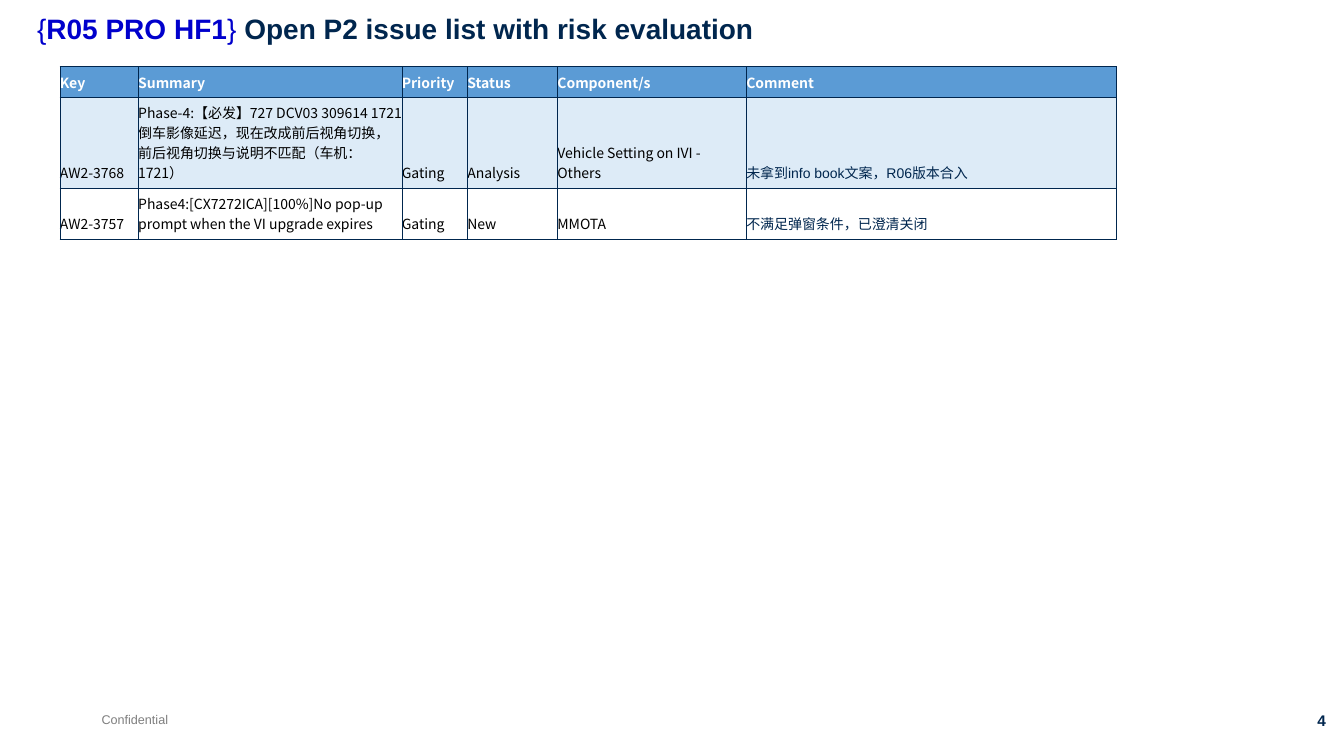
import pptx
import pptx.dml.color
import pptx.enum.text
import pptx.oxml
import pptx.oxml.ns
import pptx.util
from dataclasses import dataclass

Pt = pptx.util.Pt
Align = pptx.enum.text.PP_ALIGN
Anchor = pptx.enum.text.MSO_ANCHOR


@dataclass(frozen=True)
class Theme:
    navy: str = "00264E"
    blue: str = "0000CC"
    grey: str = "7F7F7F"
    white: str = "FFFFFF"
    black: str = "000000"
    header_fill: str = "5B9BD5"
    band_fill: str = "DDEBF7"
    sans: str = "Arial"
    cjk: str = "Noto Sans CJK SC"
    title_size: float = 20
    table_size: float = 10
    footer_size: float = 9
    number_size: float = 11
    border_width: float = 0.45


THEME = Theme()

HEADINGS = ["Key", "Summary", "Priority", "Status", "Component/s", "Comment"]
ISSUES = [
    ["AW2-3768",
     "Phase-4:【必发】727 DCV03 309614 1721倒车影像延迟，现在改成前后视角切换，前后视角切换与说明不匹配（车机：1721）",
     "Gating", "Analysis", "Vehicle Setting on IVI - Others",
     "未拿到info book文案，R06版本合入"],
    ["AW2-3757",
     "Phase4:[CX7272ICA][100%]No pop-up prompt when the VI upgrade expires",
     "Gating", "New", "MMOTA", "不满足弹窗条件，已澄清关闭"],
]
COLUMN_WIDTHS = [56, 188.4, 46.8, 64.4, 135, 264.5]
ROW_HEIGHTS = [22, 64.7, 36.5]


def set_all(target, values):
    for name, value in values.items():
        setattr(target, name, value)


def add_span(para, text, size, color, name=THEME.sans, bold=False):
    span = para.add_run()
    span.text = text
    set_all(span.font, {"size": Pt(size), "name": name, "bold": bold})
    span.font.color.rgb = pptx.dml.color.RGBColor.from_string(color)


def add_text(page, box, spans, wrap=True, align=Align.LEFT, line_spacing=None):
    frame = page.shapes.add_textbox(*map(Pt, box)).text_frame
    set_all(frame, {"word_wrap": wrap, "vertical_anchor": Anchor.TOP})
    para = frame.paragraphs[0]
    set_all(para, {"alignment": align, "line_spacing": line_spacing})
    for span in spans:
        add_span(para, **span)


def add_title(page, box):
    look = {"size": THEME.title_size, "color": THEME.blue}
    add_text(page, box, [
        {"text": "{", **look},
        {"text": "R05 PRO HF1", "bold": True, **look},
        {"text": "} ", **look},
        {"text": "Open P2 issue list with risk evaluation", "size": THEME.title_size,
         "color": THEME.navy, "bold": True},
    ], line_spacing=0.9)


def add_borders(cell):
    properties = cell._tc.get_or_add_tcPr()
    width = int(Pt(THEME.border_width))
    for position, side in enumerate(("lnL", "lnR", "lnT", "lnB")):
        properties.insert(position, pptx.oxml.parse_xml(
            f'<a:{side} {pptx.oxml.ns.nsdecls("a")} w="{width}"><a:solidFill>'
            f'<a:srgbClr val="{THEME.navy}"/></a:solidFill></a:{side}>'))


def fill_cell(cell, text, fill, color, name, bold):
    set_all(cell, {"margin_left": 0, "margin_right": 0, "margin_top": Pt(3.6),
                   "margin_bottom": Pt(3.6), "vertical_anchor": Anchor.BOTTOM})
    if fill:
        cell.fill.solid()
        cell.fill.fore_color.rgb = pptx.dml.color.RGBColor.from_string(fill)
    else:
        cell.fill.background()
    add_span(cell.text_frame.paragraphs[0], text, THEME.table_size, color, name, bold)
    add_borders(cell)


def add_issue_table(page, box):
    rows = [HEADINGS] + ISSUES
    fills = [THEME.header_fill, THEME.band_fill, None]
    table = page.shapes.add_table(len(rows), len(HEADINGS), *map(Pt, box)).table
    set_all(table, {"first_row": False, "horz_banding": False})
    for column, width in zip(table.columns, COLUMN_WIDTHS):
        column.width = Pt(width)
    for row, height in zip(table.rows, ROW_HEIGHTS):
        row.height = Pt(height)

    for row_index, texts in enumerate(rows):
        for heading, cell, text in zip(HEADINGS, table.rows[row_index].cells, texts):
            if row_index == 0:
                color, name = THEME.white, THEME.cjk
            elif heading == "Comment":
                color, name = THEME.navy, THEME.sans
            else:
                color, name = THEME.black, THEME.cjk
            fill_cell(cell, text, fills[row_index], color, name, row_index == 0)


def add_footer(page, box):
    left, top, width, height = box
    add_text(page, (left, top, 62, 18),
             [{"text": "Confidential", "size": THEME.footer_size, "color": THEME.grey}],
             wrap=False)
    number_width = 68
    add_text(page, (left + width - number_width, top, number_width, height),
             [{"text": "4", "size": THEME.number_size, "color": THEME.navy, "bold": True}],
             wrap=False, align=Align.RIGHT)


def main():
    deck = pptx.Presentation()
    set_all(deck, {"slide_width": Pt(960.5), "slide_height": Pt(540)})
    page = deck.slides.add_slide(deck.slide_layouts[6])

    # Footer band, title, then the issue table
    add_footer(page, (65.5, 504.7, 889.2, 21))
    add_title(page, (19.4, 7.2, 853.2, 45.4))
    add_issue_table(page, (42.8, 47.5, sum(COLUMN_WIDTHS), sum(ROW_HEIGHTS)))

    deck.save("out.pptx")


if __name__ == "__main__":
    main()
